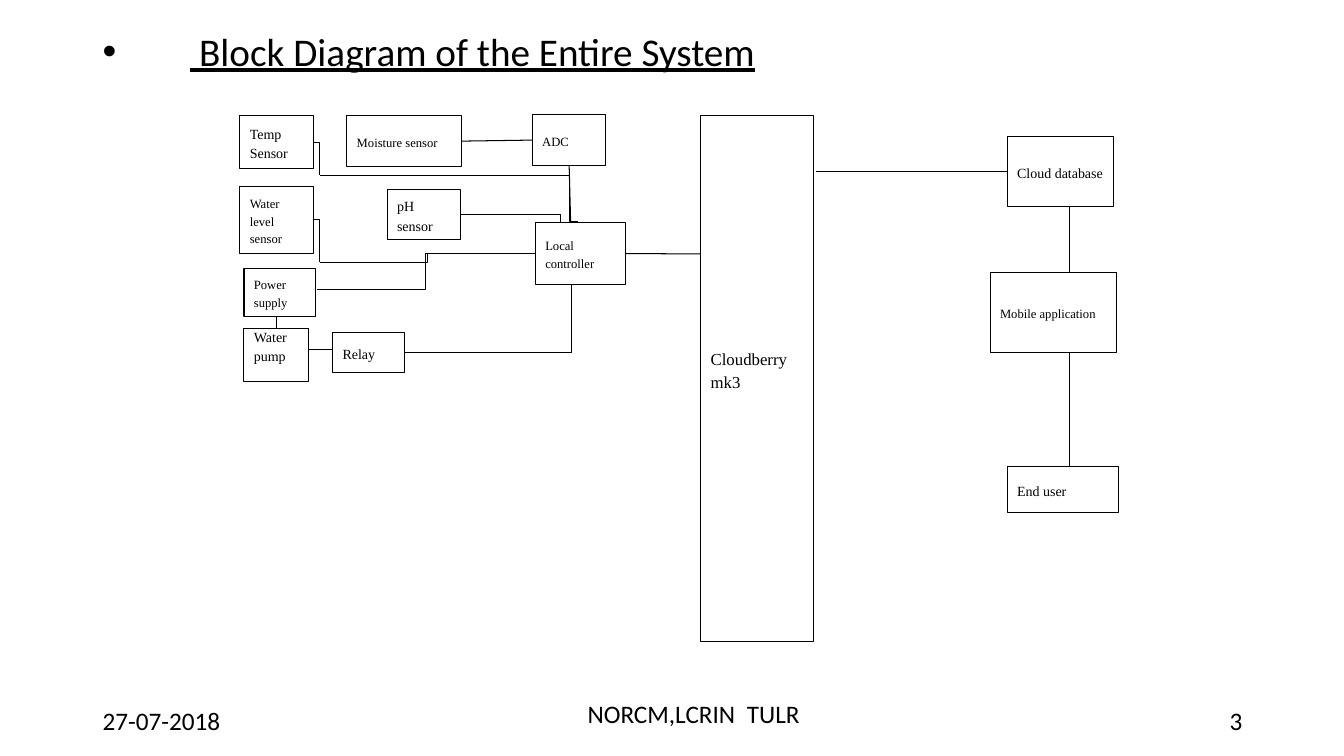
from dataclasses import dataclass
from typing import Optional

from lxml import etree
from pptx import Presentation
from pptx.dml.color import RGBColor
from pptx.enum.shapes import MSO_CONNECTOR, MSO_SHAPE
from pptx.enum.text import MSO_ANCHOR, PP_ALIGN
from pptx.oxml.ns import qn
from pptx.util import Emu, Pt

PX = 9144  # 100 px to the inch
BLACK = "000000"
SANS, SERIF = "Calibri", "Times New Roman"
RECTANGLE = MSO_SHAPE.RECTANGLE
STRAIGHT, ELBOW = MSO_CONNECTOR.STRAIGHT, MSO_CONNECTOR.ELBOW
TOP, MIDDLE = MSO_ANCHOR.TOP, MSO_ANCHOR.MIDDLE
LEFT, RIGHT = PP_ALIGN.LEFT, PP_ALIGN.RIGHT
SIDE_TOP, SIDE_LEFT, SIDE_BOTTOM, SIDE_RIGHT = range(4)
LINE_WIDTH = Pt(0.75)
BOX_INSET = 10


@dataclass(frozen=True)
class Block:
    label: str
    left: int
    top: int
    width: int
    height: int
    size: int
    bottom_inset: int = BOX_INSET


@dataclass(frozen=True)
class Joint:
    label: str
    side: int


@dataclass(frozen=True)
class Wire:
    """A line between two points; bend is the x of its vertical leg."""
    x1: int
    y1: int
    x2: int
    y2: int
    bend: Optional[int] = None
    begin: Optional[Joint] = None
    end: Optional[Joint] = None


@dataclass(frozen=True)
class Caption:
    text: str
    left: int
    top: int
    width: int
    height: int
    align: PP_ALIGN = LEFT
    tab: Optional[int] = None


BLOCKS = [
    Block("Temp\nSensor", 238, 115, 73, 52, 10),
    Block("Water level sensor", 238, 185, 73, 67, 9),
    Block("Moisture sensor", 344, 115, 114, 50, 9),
    Block("pH sensor", 384, 188, 73, 50, 10),
    Block("Local controller", 531, 221, 89, 61, 9),
    Block("Relay", 330, 330, 71, 40, 10),
    Block("Water pump", 242, 326, 64, 53, 10, bottom_inset=30),
    Block("Power supply", 242, 266, 71, 48, 9),
    Block("Cloudberry mk3", 695, 115, 112, 521, 12, bottom_inset=30),
    Block("Cloud database", 999, 135, 105, 70, 10),
    Block("Mobile application", 982, 270, 125, 80, 9),
    Block("End user", 999, 463, 110, 46, 10),
    Block("ADC", 528, 114, 73, 50, 9),
]

WIRES = [
    Wire(401, 350, 567, 282, bend=567),
    Wire(306, 347, 330, 347),
    Wire(274, 314, 274, 326, end=Joint("Water pump", SIDE_TOP)),
    Wire(620, 252, 695, 252, begin=Joint("Local controller", SIDE_RIGHT)),
    Wire(809, 170, 999, 170, end=Joint("Cloud database", SIDE_LEFT)),
    Wire(1061, 205, 1061, 270),
    Wire(1061, 350, 1061, 463),
    Wire(311, 218, 317, 260, bend=317),
    Wire(317, 260, 531, 252, bend=424),
    Wire(314, 287, 531, 252, bend=422),
    Wire(311, 141, 317, 174, bend=317),
    Wire(317, 174, 573, 220, bend=565),
    Wire(457, 213, 556, 221, bend=556),
    Wire(458, 139, 528, 139, begin=Joint("Moisture sensor", SIDE_RIGHT),
         end=Joint("ADC", SIDE_LEFT)),
    Wire(565, 164, 566, 221, begin=Joint("ADC", SIDE_BOTTOM)),
]

CAPTIONS = [
    Caption("27-07-2018", 92, 695, 300, 40),
    Caption("NORCM,LCRIN\tTULR", 573, 688, 300, 40, tab=158),
    Caption("3", 942, 695, 300, 40, align=RIGHT),
]


def px(length: int) -> Emu:
    return Emu(length * PX)


def colour(value: str) -> RGBColor:
    return RGBColor.from_string(value)


def write(frame, text: str, *, font: str, size: int, anchor=MIDDLE, align=LEFT,
          spacing: float = 1.0, underline: bool = False) -> None:
    frame.word_wrap = True
    frame.vertical_anchor = anchor
    for index, line in enumerate(text.split("\n")):
        paragraph = frame.add_paragraph() if index else frame.paragraphs[0]
        paragraph.alignment = align
        paragraph.line_spacing = spacing
        run = paragraph.add_run()
        run.text = line
        run.font.name = font
        run.font.size = Pt(size)
        run.font.underline = underline
        run.font.color.rgb = colour(BLACK)


def add_title(slide) -> None:
    frame = slide.shapes.add_textbox(px(92), px(27), px(1160), px(661)).text_frame
    write(frame, " Block Diagram of the Entire System", font=SANS, size=28,
          anchor=TOP, spacing=0.9, underline=True)
    paragraph = frame.paragraphs[0]
    paragraph.space_before = Pt(10)
    properties = paragraph._p.get_or_add_pPr()
    properties.set("marL", str(px(87)))
    properties.set("indent", str(px(-87)))
    etree.SubElement(properties, qn("a:buFont")).set("typeface", "Arial")
    etree.SubElement(properties, qn("a:buChar")).set("char", "•")


def add_caption(slide, caption: Caption) -> None:
    frame = slide.shapes.add_textbox(px(caption.left), px(caption.top), px(caption.width),
                                     px(caption.height)).text_frame
    write(frame, caption.text, font=SANS, size=18, align=caption.align)
    if caption.tab is not None:
        properties = frame.paragraphs[0]._p.get_or_add_pPr()
        stops = etree.SubElement(properties, qn("a:tabLst"))
        etree.SubElement(stops, qn("a:tab"), pos=str(px(caption.tab)), algn="l")


def add_block(slide, block: Block):
    shape = slide.shapes.add_shape(RECTANGLE, px(block.left), px(block.top),
                                   px(block.width), px(block.height))
    shape.shadow.inherit = False
    shape.fill.background()
    shape.line.color.rgb = colour(BLACK)
    shape.line.width = LINE_WIDTH
    frame = shape.text_frame
    frame.margin_left = frame.margin_right = frame.margin_top = px(BOX_INSET)
    frame.margin_bottom = px(block.bottom_inset)
    write(frame, block.label, font=SERIF, size=block.size, spacing=1.15)
    return shape


def add_wire(slide, wire: Wire, shapes: dict) -> None:
    kind = STRAIGHT if wire.bend is None else ELBOW
    connector = slide.shapes.add_connector(kind, px(wire.x1), px(wire.y1),
                                           px(wire.x2), px(wire.y2))
    connector.line.color.rgb = colour(BLACK)
    connector.line.width = LINE_WIDTH
    properties = connector._element.spPr
    etree.SubElement(properties, qn("a:effectLst"))
    if wire.bend is not None:
        share = round(100000 * (wire.bend - wire.x1) / (wire.x2 - wire.x1))
        guides = properties.find(qn("a:prstGeom")).find(qn("a:avLst"))
        etree.SubElement(guides, qn("a:gd"), name="adj1", fmla=f"val {share}")
    if wire.begin:
        connector.begin_connect(shapes[wire.begin.label], wire.begin.side)
    if wire.end:
        connector.end_connect(shapes[wire.end.label], wire.end.side)


def main() -> None:
    deck = Presentation()
    deck.slide_width, deck.slide_height = px(1333), px(750)
    slide = deck.slides.add_slide(deck.slide_layouts[6])
    for caption in CAPTIONS:
        add_caption(slide, caption)
    add_title(slide)
    shapes = {block.label: add_block(slide, block) for block in BLOCKS}
    for wire in WIRES:
        add_wire(slide, wire, shapes)
    deck.save("out.pptx")


if __name__ == "__main__":
    main()
